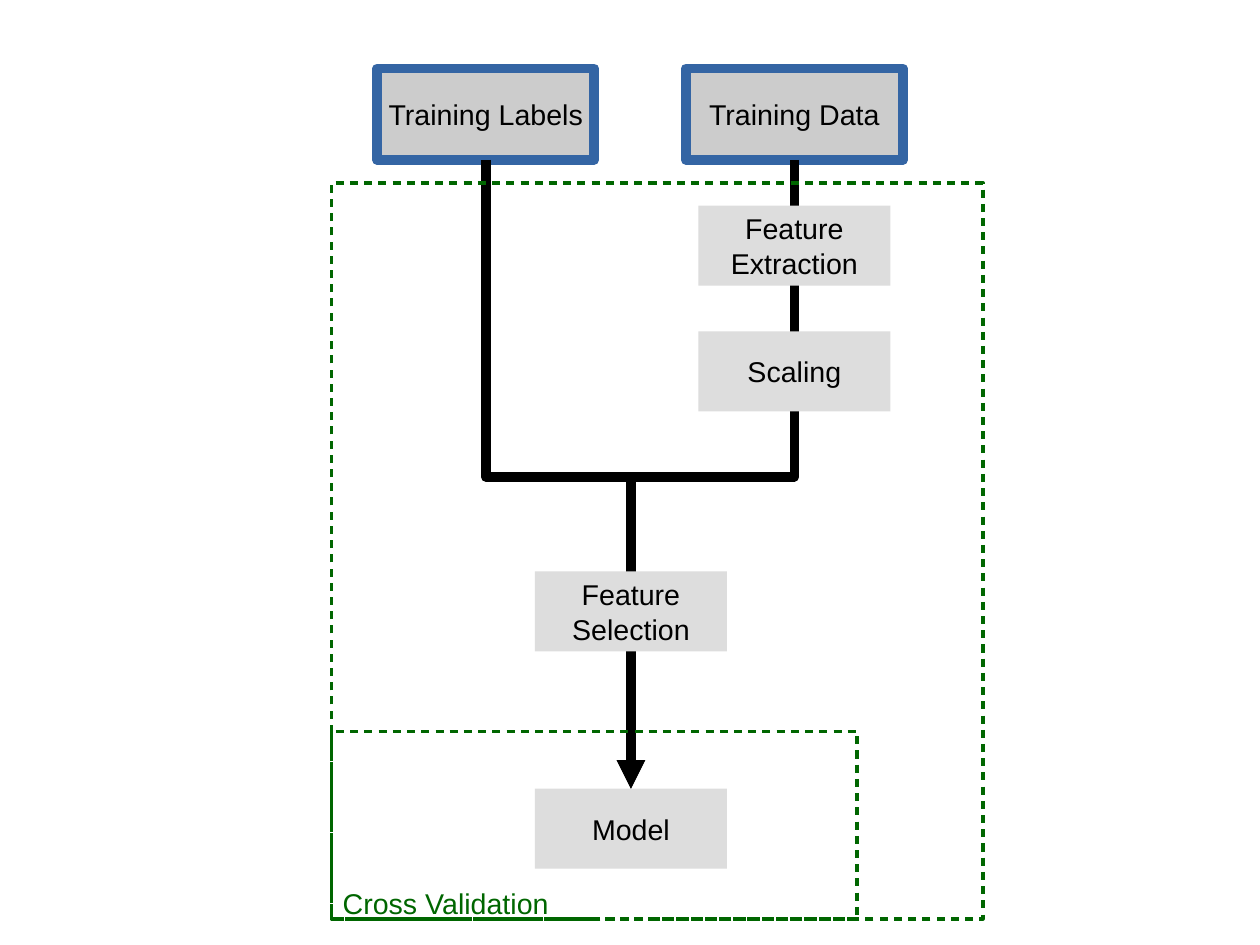
"""Build a training pipeline flowchart slide."""
from dataclasses import dataclass

from lxml import etree
from pptx import Presentation
from pptx import util as u
from pptx.dml.color import RGBColor
from pptx.enum import shapes, text
from pptx.oxml.ns import qn
from pptx.shapes.autoshape import Shape
from pptx.shapes.connector import Connector
from pptx.slide import Slide

COLORS = {
    "black": "000000",
    "green": "006600",
    "blue": "3465A4",
    "data": "CCCCCC",
    "step": "DDDDDD",
}
FONT = "Arial"
STEP_WIDTH, STEP_HEIGHT = 1.68, 0.7
LABELS_X, DATA_X, MODEL_X = 4.25, 6.95, 5.52
SOURCE_TOP, SOURCE_WIDTH, SOURCE_HEIGHT = 0.6, 1.9, 0.8
MODEL_TOP = 6.9
FRAME_LEFT, FRAME_BOTTOM = 2.9, 8.04


@dataclass
class Source:
    label: str
    center: float


@dataclass
class Step:
    label: str
    center: float
    top: float


@dataclass
class Frame:
    width: float
    height: float


SOURCES = [Source("Training Data", DATA_X), Source("Training Labels", LABELS_X)]
MODEL = Step("Model", MODEL_X, MODEL_TOP)
STEPS = [
    Step("Feature\nExtraction", DATA_X, 1.8),
    Step("Scaling", DATA_X, 2.9),
    Step("Feature\nSelection", MODEL_X, 5.0),
]
INNER_FRAME, OUTER_FRAME = Frame(4.6, 1.64), Frame(5.7, 6.44)


def color(name: str) -> RGBColor:
    """Return the named colour."""
    return RGBColor.from_string(COLORS[name])


def style_line(shape: Shape | Connector, name: str, width: float) -> etree._Element:
    """Set line colour and width and return the line element."""
    shape.line.color.rgb = color(name)
    shape.line.width = u.Pt(width)
    return shape._element.spPr.find(qn("a:ln"))


def add_rectangle(slide: Slide, left: float, top: float, width: float, height: float) -> Shape:
    """Add a plain rectangle without fill or line."""
    shape = slide.shapes.add_shape(
        shapes.MSO_SHAPE.RECTANGLE,
        u.Inches(left), u.Inches(top), u.Inches(width), u.Inches(height),
    )
    shape.shadow.inherit = False
    shape.fill.background()
    shape.line.fill.background()
    return shape


def format_text(shape: Shape, label: str, name: str, alignment: text.PP_ALIGN) -> None:
    """Write a label with the slide's font."""
    shape.text_frame.text = label
    for paragraph in shape.text_frame.paragraphs:
        paragraph.alignment = alignment
        paragraph.font.name = FONT
        paragraph.font.size = u.Pt(18)
        paragraph.font.color.rgb = color(name)


def add_box(slide: Slide, label: str, center: float, top: float,
            width: float, height: float, fill: str) -> Shape:
    """Add a filled box with a centred label."""
    box = add_rectangle(slide, center - width / 2, top, width, height)
    box.fill.solid()
    box.fill.fore_color.rgb = color(fill)
    box.text_frame.word_wrap = False
    box.text_frame.vertical_anchor = text.MSO_ANCHOR.MIDDLE
    format_text(box, label, "black", text.PP_ALIGN.CENTER)
    return box


def add_source(slide: Slide, source: Source) -> None:
    """Add an outlined input box."""
    box = add_box(slide, source.label, source.center, SOURCE_TOP,
                  SOURCE_WIDTH, SOURCE_HEIGHT, "data")
    frame = box.text_frame
    frame.margin_left = frame.margin_right = u.Inches(0.14)
    frame.margin_top = frame.margin_bottom = u.Inches(0.09)
    etree.SubElement(style_line(box, "blue", 6), qn("a:round"))


def add_step(slide: Slide, step: Step) -> None:
    """Add a processing step."""
    add_box(slide, step.label, step.center, step.top, STEP_WIDTH, STEP_HEIGHT, "step")


def add_arrow(slide: Slide, start: float) -> None:
    """Add a vertical elbow arrow from an input to the model."""
    source_bottom = SOURCE_TOP + SOURCE_HEIGHT
    middle_x, middle_y = (start + MODEL_X) / 2, (source_bottom + MODEL_TOP) / 2
    from_right = start > MODEL_X
    reach = (MODEL_TOP - source_bottom) / 2 * (1 if from_right else -1)
    rise = abs(start - MODEL_X) / 2
    arrow = slide.shapes.add_connector(
        shapes.MSO_CONNECTOR.ELBOW,
        u.Inches(middle_x - reach), u.Inches(middle_y - rise),
        u.Inches(middle_x + reach), u.Inches(middle_y + rise),
    )
    properties = arrow._element.spPr
    properties.find(qn("a:xfrm")).set("rot", str((90 if from_right else 270) * 60000))
    guides = properties.find(qn("a:prstGeom")).find(qn("a:avLst"))
    etree.SubElement(guides, qn("a:gd"), name="adj1", fmla="val 50400")
    line = style_line(arrow, "black", 6)
    etree.SubElement(line, qn("a:round"))
    etree.SubElement(line, qn("a:tailEnd"), type="triangle")
    etree.SubElement(properties, qn("a:effectLst"))


def add_frame(slide: Slide, frame: Frame) -> None:
    """Add a dashed frame anchored at the lower left."""
    shape = add_rectangle(slide, FRAME_LEFT, FRAME_BOTTOM - frame.height,
                          frame.width, frame.height)
    line = style_line(shape, "green", 2.3)
    dashes = etree.SubElement(line, qn("a:custDash"))
    etree.SubElement(dashes, qn("a:ds"), d="220000", sp="170000")
    etree.SubElement(line, qn("a:round"))


def add_caption(slide: Slide) -> None:
    """Add the caption of the frames."""
    caption = slide.shapes.add_textbox(
        u.Inches(FRAME_LEFT), u.Inches(7.7), u.Inches(2.2), u.Inches(0.38))
    caption.text_frame.word_wrap = True
    format_text(caption, "Cross Validation", "green", text.PP_ALIGN.LEFT)


def main() -> None:
    """Draw and save the slide."""
    presentation = Presentation()
    presentation.slide_width = u.Cm(28)
    presentation.slide_height = u.Cm(21)
    slide = presentation.slides.add_slide(presentation.slide_layouts[6])
    for source in SOURCES:
        add_source(slide, source)
    add_step(slide, MODEL)
    for source in SOURCES:
        add_arrow(slide, source.center)
    for step in STEPS:
        add_step(slide, step)
    add_frame(slide, INNER_FRAME)
    add_caption(slide)
    add_frame(slide, OUTER_FRAME)
    presentation.save("out.pptx")


if __name__ == "__main__":
    main()
